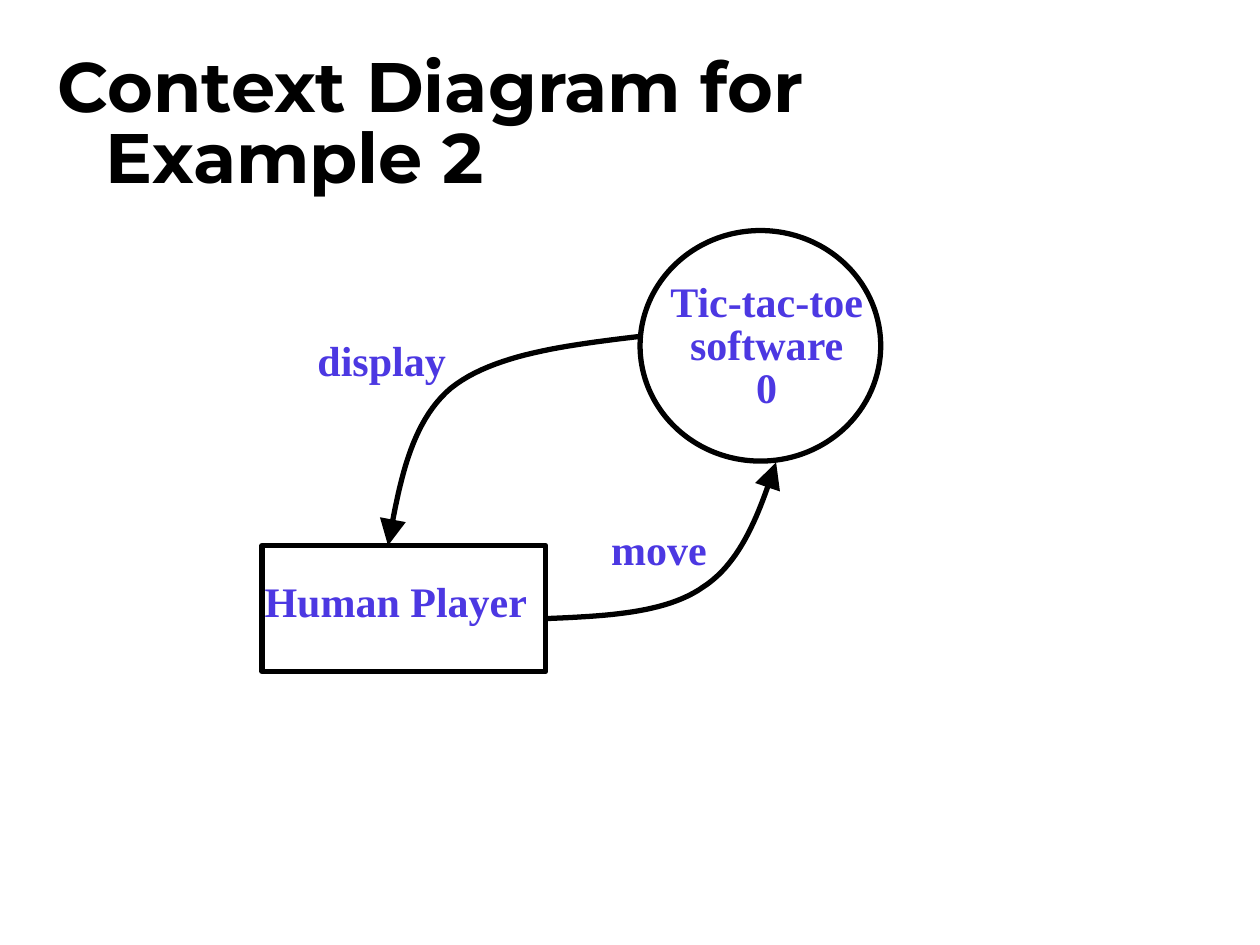
from dataclasses import dataclass

from lxml.etree import SubElement
from pptx import Presentation
from pptx.dml.color import RGBColor
from pptx.enum.shapes import MSO_SHAPE
from pptx.enum.text import MSO_ANCHOR, MSO_AUTO_SIZE, PP_ALIGN
from pptx.oxml.ns import qn
from pptx.util import Inches, Pt


@dataclass(frozen=True)
class Theme:
    ink: RGBColor = RGBColor(0x00, 0x00, 0x00)
    label: RGBColor = RGBColor(0x4C, 0x38, 0xE2)
    title_font: str = "Montserrat"
    label_font: str = "Times New Roman"
    title_size: Pt = Pt(40)
    label_size: Pt = Pt(24)
    line_width: Pt = Pt(3)


theme = Theme()


def style_text(shape, text, font_name, size, color, alignment):
    frame = shape.text_frame
    frame.text = text
    frame.word_wrap = True
    frame.auto_size = MSO_AUTO_SIZE.NONE
    frame.margin_left = frame.margin_right = Inches(0.02)
    frame.margin_top = frame.margin_bottom = Inches(0.05)
    paragraph = frame.paragraphs[0]
    paragraph.alignment = alignment
    paragraph.line_spacing = 0.85
    paragraph.space_before = Pt(0)
    paragraph.font.name = font_name
    paragraph.font.size = size
    paragraph.font.bold = True
    paragraph.font.color.rgb = color
    return paragraph


def style_outline(shape):
    shape.shadow.inherit = False
    shape.fill.background()
    shape.line.color.rgb = theme.ink
    shape.line.width = theme.line_width


presentation = Presentation()
presentation.slide_width = Inches(10)
presentation.slide_height = Inches(7.5)
slide = presentation.slides.add_slide(presentation.slide_layouts[5])

title = slide.shapes.title
title.left, title.top = Inches(0.44), Inches(0.38)
title.width, title.height = Inches(8.5), Inches(1.25)
title_paragraph = style_text(title, "Context Diagram for Example 2", theme.title_font,
                             theme.title_size, theme.ink, PP_ALIGN.LEFT)
title.text_frame.vertical_anchor = MSO_ANCHOR.MIDDLE
title_properties = title_paragraph._p.get_or_add_pPr()
title_properties.set("marL", str(Inches(0.38)))
title_properties.set("indent", str(Inches(-0.38)))

nodes = [
    (MSO_SHAPE.OVAL, 5.08, 1.83, 1.91, 1.83),
    (MSO_SHAPE.ROUNDED_RECTANGLE, 2.08, 4.33, 2.25, 1),
]
for preset, *box in nodes:
    node = slide.shapes.add_shape(preset, *map(Inches, box))
    if preset == MSO_SHAPE.ROUNDED_RECTANGLE:
        node.adjustments[0] = 0
    style_outline(node)

flows = [
    [(5.08, 2.67), (4.5, 2.74), (3.92, 2.81), (3.58, 3.08),
     (3.25, 3.36), (3.17, 3.85), (3.08, 4.33)],
    [(4.33, 4.91), (4.8, 4.89), (5.28, 4.87), (5.58, 4.66),
     (5.89, 4.46), (6.03, 4.06), (6.16, 3.67)],
]
steps = 24
for controls in flows:
    points = []
    for first in range(0, len(controls) - 1, 3):
        curve = controls[first:first + 4]
        for step in range(1, steps + 1):
            t = step / steps
            weights = ((1 - t) ** 3, 3 * t * (1 - t) ** 2, 3 * t ** 2 * (1 - t), t ** 3)
            points.append(tuple(
                Inches(sum(weight * point[axis] for weight, point in zip(weights, curve)))
                for axis in (0, 1)))
    builder = slide.shapes.build_freeform(*map(Inches, controls[0]))
    builder.add_line_segments(points, close=False)
    flow = builder.convert_to_shape()
    style_outline(flow)
    line = flow.line._get_or_add_ln()
    SubElement(line, qn("a:round"))
    SubElement(line, qn("a:tailEnd"), type="triangle", w="lg", len="lg")

labels = [
    ("Human Player", PP_ALIGN.LEFT, 2.08, 4.58, 2.33, 0.5),
    ("Tic-tac-toe software\v0", PP_ALIGN.CENTER, 5.17, 2.2, 1.83, 1.3),
    ("display", PP_ALIGN.LEFT, 2.5, 2.67, 1.5, 0.5),
    ("move", PP_ALIGN.LEFT, 4.83, 4.17, 1.75, 0.5),
]
for text, alignment, *box in labels:
    label = slide.shapes.add_textbox(*map(Inches, box))
    style_text(label, text, theme.label_font, theme.label_size, theme.label, alignment)

presentation.save("out.pptx")
